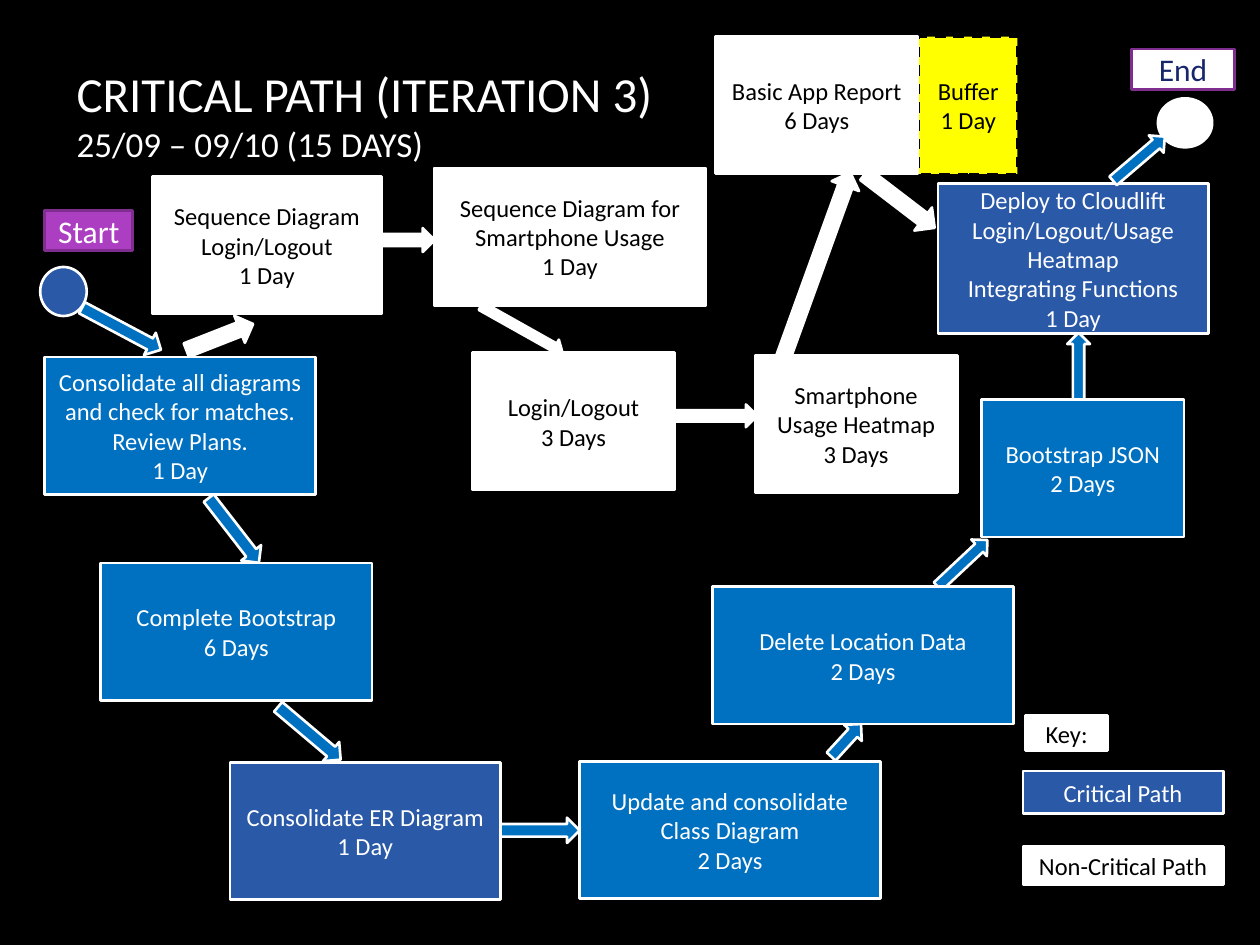
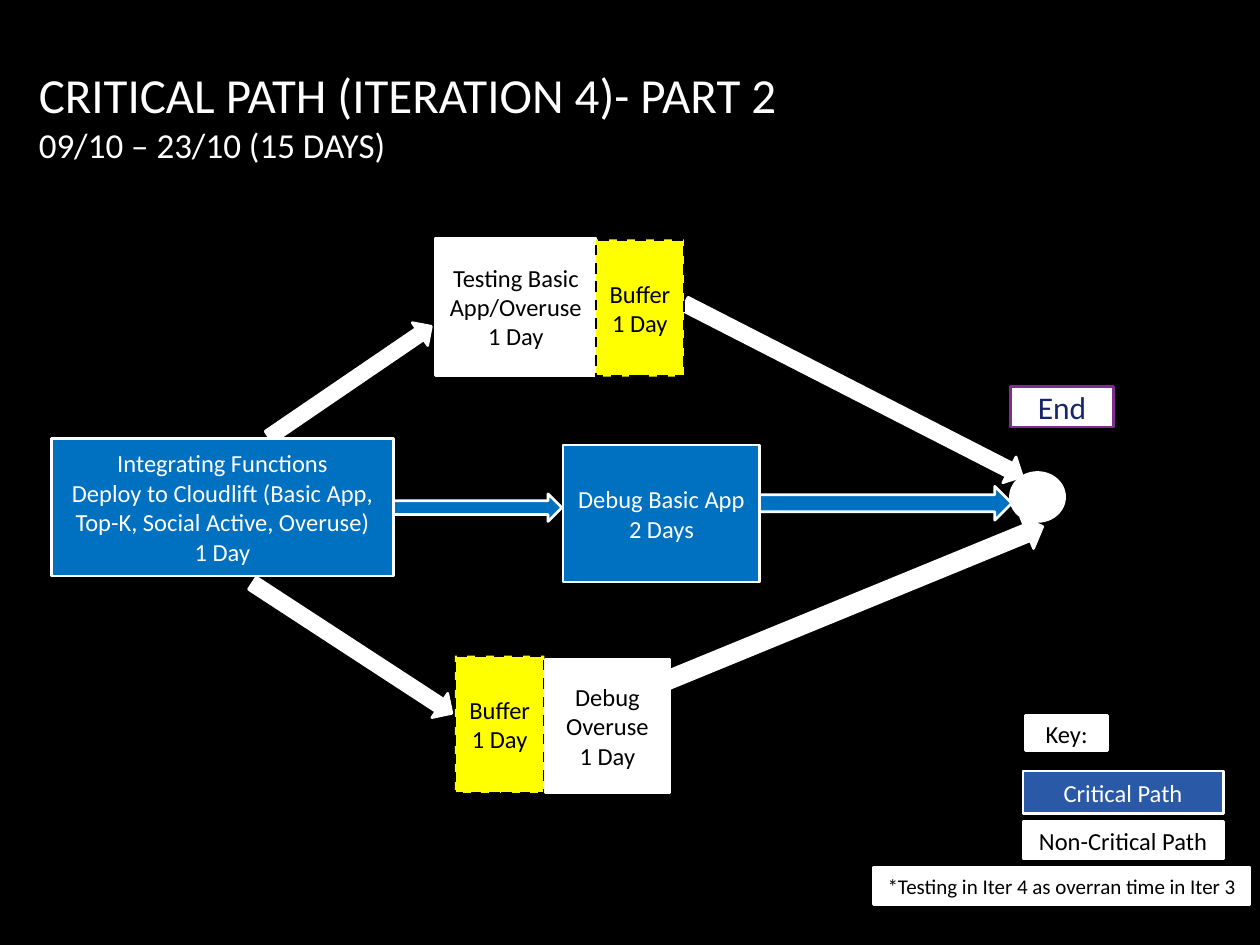
from dataclasses import dataclass
from pptx import Presentation
from pptx.dml.color import RGBColor
from pptx.enum.dml import MSO_LINE
from pptx.enum.shapes import MSO_SHAPE
from pptx.enum.text import MSO_ANCHOR, PP_ALIGN
from pptx.util import Pt


@dataclass(frozen=True)
class Theme:
    """Colours, type sizes and common measures of the deck."""
    font: str = "Calibri"
    black: str = "000000"
    white: str = "FFFFFF"
    blue: str = "0070C0"
    navy: str = "2A59A8"
    yellow: str = "FFFF00"
    orchid: str = "AC3EC1"
    purple: str = "7F2E8F"
    ink: str = "18276C"
    title: int = 28
    dates: int = 20
    label: int = 18
    body: int = 14
    note: int = 12
    line: float = 1.5
    task_height: float = 78.5


T = Theme()
KINDS = {
    "critical": {"fill": T.blue, "line": T.white, "text": T.white},
    "key_step": {"fill": T.navy, "line": T.white, "text": T.white},
    "slack": {"fill": T.white, "line": T.white, "text": T.black},
    "buffer": {"fill": T.yellow, "line": T.black, "text": T.black},
    "start": {"fill": T.orchid, "line": T.purple, "text": T.white},
    "end": {"fill": T.white, "line": T.purple, "text": T.ink},
}


def assign(obj, values):
    """Set each named attribute on the object."""
    for name, value in values.items():
        setattr(obj, name, value)


class PathDeck:
    """Draws critical path diagrams on the current slide."""

    def __init__(self):
        """Open an empty 10 by 7.5 inch deck."""
        self.prs = Presentation()
        assign(self.prs, {"slide_width": Pt(720), "slide_height": Pt(540)})
        self.s = None

    def slide(self, x, y, title, dates):
        """Add a black slide with its two-line title."""
        self.s = self.prs.slides.add_slide(self.prs.slide_layouts[6])
        fill = self.s.background.fill
        fill.solid()
        fill.fore_color.rgb = RGBColor.from_string(T.black)
        tf = self.s.shapes.add_textbox(Pt(x), Pt(y), Pt(612), Pt(114.5)).text_frame
        assign(tf, {"word_wrap": True, "vertical_anchor": MSO_ANCHOR.MIDDLE})
        p = tf.paragraphs[0]
        self.run(p, title, T.title, T.white)
        p.add_line_break()
        self.run(p, dates, T.dates, T.white)

    def run(self, p, text, size, color):
        """Add a formatted run to a paragraph."""
        r = p.add_run()
        r.text = text
        assign(r.font, {"name": T.font, "size": Pt(size)})
        r.font.color.rgb = RGBColor.from_string(color)

    def shape(self, preset, kind, x, y, w, h, rotation=0):
        """Add a preset shape in the colours of its kind."""
        sp = self.s.shapes.add_shape(preset, Pt(x), Pt(y), Pt(w), Pt(h))
        sp.shadow.inherit = False
        sp.rotation = rotation
        sp.fill.solid()
        sp.fill.fore_color.rgb = RGBColor.from_string(KINDS[kind]["fill"])
        sp.line.color.rgb = RGBColor.from_string(KINDS[kind]["line"])
        sp.line.width = Pt(T.line)
        if kind == "buffer":
            sp.line.dash_style = MSO_LINE.DASH
        return sp

    def circle(self, kind, x, y, w):
        """Add a start or end node."""
        self.shape(MSO_SHAPE.OVAL, kind, x, y, w, 28)

    def arrows(self, kind, rows):
        """Add block arrows given as x, y, width, height and rotation."""
        for row in rows:
            self.shape(MSO_SHAPE.RIGHT_ARROW, kind, *row)

    def box(self, kind, x, y, w, h, lines, size=T.body):
        """Add a rectangle with centred paragraphs."""
        tf = self.shape(MSO_SHAPE.RECTANGLE, kind, x, y, w, h).text_frame
        assign(tf, {"word_wrap": True, "vertical_anchor": MSO_ANCHOR.MIDDLE})
        for i, text in enumerate(lines):
            p = tf.add_paragraph() if i else tf.paragraphs[0]
            p.alignment = PP_ALIGN.CENTER
            self.run(p, text, size, KINDS[kind]["text"])

    def tasks(self, rows):
        """Add task boxes given as kind, x, y, width and lines."""
        for kind, x, y, w, *lines in rows:
            self.box(kind, x, y, w, T.task_height, lines)

    def label(self, kind, x, y, w, text):
        """Add a start or end label."""
        self.box(kind, x, y, w, 23, [text], T.label)

    def legend(self, slack_top):
        """Add the colour key."""
        self.box("slack", 586, 409, 47, 20, ["Key:"])
        self.box("key_step", 584.5, 440.5, 114.5, 24.5, ["Critical Path"])
        self.box("slack", 584.5, slack_top, 114.5, 21.6, ["Non-Critical Path"])


def iteration_3(deck):
    """Build the path of iteration 3."""
    deck.slide(36.7, 8, "CRITICAL PATH (ITERATION 3)", "25/09 – 09/10 (15 DAYS)")
    deck.circle("key_step", 23, 152.6, 26.6)
    deck.circle("slack", 661.7, 56.2, 31)
    deck.arrows("critical", [
        (43.9, 180.7, 51.1, 14.4, 28),
        (110.2, 295.9, 46.8, 14.4, 52.2),
        (153.4, 411.8, 46.8, 14.4, 40.2),
        (284.4, 467.3, 46.8, 14.4),
        (470.9, 416.2, 25.2, 13.7, 312.6),
        (530.6, 315.4, 38.9, 13, 316.9),
        (596.9, 203, 38.9, 13, 270),
    ])
    deck.arrows("slack", [
        (105.1, 184.3, 41, 16.6, 338.6),
        (208.1, 130.3, 40.3, 13.7),
        (271.4, 182.9, 53.3, 10.1, 29.3),
        (385.9, 231.1, 46.8, 13),
        (401, 149.8, 126.7, 16.6, 289.9),
        (488.9, 106.6, 50.4, 16.6, 37.4),
    ])
    deck.tasks([
        ("critical", 25.5, 204, 155, "Consolidate all diagrams and check for matches.",
         "Review Plans.", "1 Day"),
        ("critical", 57.6, 321.8, 155, "Complete Bootstrap", "6 Days"),
        ("key_step", 131.5, 435.6, 154.5, "Consolidate ER Diagram", "1 Day"),
        ("critical", 331, 435, 172.3, "Update and consolidate Class Diagram", "2 Days"),
        ("critical", 407, 335.3, 172.3, "Delete Location Data", "2 Days"),
        ("critical", 561, 228.3, 115.5, "Bootstrap JSON", "2 Days"),
        ("slack", 87, 101, 131.2, "Sequence Diagram Login/Logout", "1 Day"),
        ("slack", 248, 96, 155.5, "Sequence Diagram for Smartphone Usage", "1 Day"),
        ("slack", 270, 201.6, 115.5, "Login/Logout", "3 Days"),
        ("slack", 431.5, 203, 115.5, "Smartphone Usage Heatmap", "3 Days"),
        ("buffer", 525.2, 20.9, 56.2, "Buffer", "1 Day"),
        ("slack", 409, 20.8, 115.5, "Basic App Report", "6 Days"),
    ])
    deck.box("key_step", 536, 105, 154.5, 85.7, [
        "Deploy to Cloudlift Login/Logout/Usage Heatmap", "Integrating Functions", "1 Day"])
    deck.arrows("critical", [(631.4, 84.2, 38.9, 13, 319.5)])
    deck.label("start", 25.5, 120.2, 50.4, "Start")
    deck.label("end", 646.5, 28, 59, "End")
    deck.legend(483.8)


def iteration_4(deck):
    """Build the second part of the path of iteration 4."""
    deck.slide(15.1, 8.6, "CRITICAL PATH (ITERATION 4)- PART 2", "09/10 – 23/10 (15 DAYS)")
    deck.circle("slack", 577.4, 270, 31)
    deck.arrows("critical", [
        (224.6, 282.2, 96.5, 15.8),
        (433.4, 277.9, 144.7, 19.4),
    ])
    deck.arrows("slack", [
        (144, 210.2, 112.3, 15.8, 325.7),
        (133.2, 362.2, 136.1, 16.6, 33.1),
        (379.4, 214.6, 216.7, 16.6, 27.1),
        (367.2, 336.2, 237.6, 19.4, 337.7),
    ])
    deck.tasks([
        ("critical", 29.5, 250.6, 195.3, "Integrating Functions",
         "Deploy to Cloudlift (Basic App, Top-K, Social Active, Overuse)", "1 Day"),
        ("critical", 321.8, 254.2, 112.4, "Debug Basic App", "2 Days"),
        ("slack", 249, 136, 91.6, "Testing Basic App/Overuse", "1 Day"),
        ("buffer", 340.5, 136.8, 50.4, "Buffer", "1 Day"),
        ("buffer", 260, 374.6, 51.2, "Buffer", "1 Day"),
    ])
    deck.box("slack", 311.8, 376.6, 70.6, 76.5, ["Debug Overuse", "1 Day"])
    deck.label("end", 577.4, 221, 59, "End")
    deck.legend(469.4)
    deck.box("slack", 499, 495.4, 215.4, 21.6,
             ["*Testing in Iter 4 as overran time in Iter 3"], T.note)


def main():
    """Build and save both slides."""
    deck = PathDeck()
    iteration_3(deck)
    iteration_4(deck)
    deck.prs.save("out.pptx")


if __name__ == "__main__":
    main()
